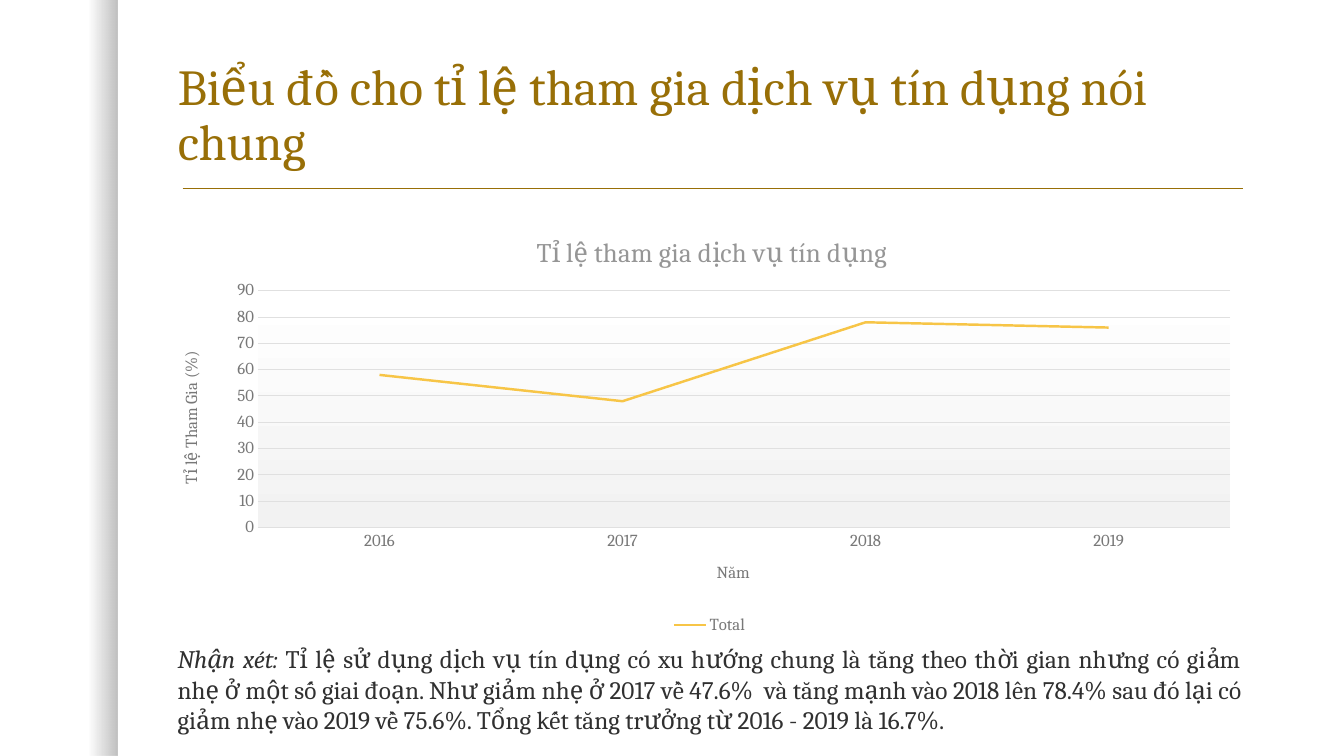
from lxml import etree
from pptx import Presentation
from pptx.chart.data import CategoryChartData
from pptx.dml.color import RGBColor
from pptx.enum.chart import XL_CHART_TYPE as CHART, XL_LEGEND_POSITION as LEGEND, XL_TICK_MARK as TICK
from pptx.enum.shapes import MSO_CONNECTOR as CONN, MSO_SHAPE as SHAPE
from pptx.enum.text import MSO_ANCHOR as ANCHOR, MSO_AUTO_SIZE as AUTO, PP_ALIGN as ALIGN
from pptx.oxml import parse_xml
from pptx.oxml.ns import nsdecls, qn
from pptx.util import Pt

FONT = "Cambria"
GOLD, YELLOW, TEXT, GREY, PALE, RULE = "986F07", "F7C547", "303030", "787878", "969696", "E0E0E0"
LEFT, WIDTH, CHART_HEIGHT = 119.8, 774, 300


def rgb(value):
    return RGBColor.from_string(value)


def style(font, size, color, italic=False):
    font.name = FONT
    font.size = Pt(size)
    font.bold = False
    font.italic = italic
    font.color.rgb = rgb(color)


def gradient(stops, angle):
    gs = "".join(
        f'<a:gs pos="{pos * 1000}"><a:srgbClr val="{color}">'
        f'<a:alpha val="{alpha * 1000}"/></a:srgbClr></a:gs>'
        for pos, color, alpha in stops)
    return (f'<a:gradFill {nsdecls("a")} rotWithShape="1"><a:gsLst>{gs}</a:gsLst>'
            f'<a:lin ang="{angle * 60000}" scaled="0"/></a:gradFill>')


def add_side_shade(slide):
    sp = slide.shapes.add_shape(SHAPE.RECTANGLE, 0, 0, Pt(84), Pt(540))
    sp.shadow.inherit = False
    sp.line.fill.background()
    fill = parse_xml(gradient([(75, "000000", 0), (100, "000000", 25)], 0))
    sp.element.spPr.find(qn("a:prstGeom")).addnext(fill)


def add_rule(slide, x1, x2, y):
    line = slide.shapes.add_connector(CONN.STRAIGHT, Pt(x1), Pt(y), Pt(x2), Pt(y))
    line.line.color.rgb = rgb(GOLD)
    line.line.width = Pt(1)
    etree.SubElement(line.element.spPr, qn("a:effectLst"))


def set_title(slide, text):
    sp = slide.shapes.title
    sp.left, sp.top, sp.width, sp.height = Pt(LEFT), Pt(30), Pt(WIDTH), Pt(96)
    tf = sp.text_frame
    tf.text = text
    tf.auto_size = AUTO.NONE
    tf.vertical_anchor = ANCHOR.BOTTOM
    p = tf.paragraphs[0]
    p.alignment = ALIGN.LEFT
    p.line_spacing = 0.9
    style(p.runs[0].font, 36, GOLD)


def add_comment(slide, label, text):
    sp = slide.shapes.add_textbox(Pt(LEFT), Pt(456.2), Pt(WIDTH), Pt(72.5))
    tf = sp.text_frame
    tf.word_wrap = True
    p = tf.paragraphs[0]
    p.alignment = ALIGN.JUSTIFY
    for part, italic in ((label, True), (text, False)):
        r = p.add_run()
        r.text = part
        style(r.font, 18, TEXT, italic)


def place(element, index, x, y, w=None, h=None):
    for old in element.findall(qn("c:layout")):
        element.remove(old)
    tags = [("xMode", "edge"), ("yMode", "edge"), ("x", x / WIDTH), ("y", y / CHART_HEIGHT)]
    if w:
        tags = [("layoutTarget", "inner")] + tags + [("w", w / WIDTH), ("h", h / CHART_HEIGHT)]
    body = "".join(f'<c:{tag} val="{val}"/>' for tag, val in tags)
    element.insert(index, parse_xml(
        f'<c:layout {nsdecls("c")}><c:manualLayout>{body}</c:manualLayout></c:layout>'))


def set_chart_title(owner, text, size, color, x, y):
    title = owner.chart_title if hasattr(owner, "chart_title") else owner.axis_title
    title.text_frame.text = text
    style(title.text_frame.paragraphs[0].runs[0].font, size, color)
    place(title._element, 1, x, y)


def format_axis(axis, title, x, y):
    axis.major_tick_mark = axis.minor_tick_mark = TICK.NONE
    style(axis.tick_labels.font, 12, GREY)
    set_chart_title(axis, title, 12, GREY, x, y)


def fill_plot(plot_area):
    place(plot_area, 0, 64.5, 51.5, 694.5, 169.2)
    fill = gradient([(0, "FFFFFF", 100), (100, "F2F2F2", 100)], 90)
    plot_area.append(parse_xml(f'<c:spPr {nsdecls("c")}>{fill}</c:spPr>'))


def add_line_chart(slide):
    data = CategoryChartData()
    data.categories = ["2016", "2017", "2018", "2019"]
    data.add_series("Total", [58, 48, 78, 76])
    frame = slide.shapes.add_chart(
        CHART.LINE, Pt(LEFT), Pt(156.2), Pt(WIDTH), Pt(CHART_HEIGHT), data)
    chart = frame.chart
    style(chart.font, 10, TEXT)
    set_chart_title(chart, "Tỉ lệ tham gia dịch vụ tín dụng", 19.2, PALE, 260, 8)

    years, rates = chart.category_axis, chart.value_axis
    format_axis(years, "Năm", 390, 243)
    years.format.line.color.rgb = rgb(RULE)
    years.format.line.width = Pt(0.75)
    format_axis(rates, "Tỉ lệ Tham Gia (%)", 7, 92.5)
    rates.format.line.fill.background()
    rates.minimum_scale, rates.maximum_scale, rates.major_unit = 0, 90, 10
    rates.major_gridlines.format.line.color.rgb = rgb(RULE)
    rates.major_gridlines.format.line.width = Pt(0.75)

    chart.has_legend = True
    chart.legend.position = LEGEND.BOTTOM
    chart.legend.include_in_layout = False
    style(chart.legend.font, 12, GREY)

    plot = chart.plots[0]
    plot.vary_by_categories = False
    series = plot.series[0]
    series.smooth = False
    series.format.line.color.rgb = rgb(YELLOW)
    series.format.line.width = Pt(1.75)
    fill_plot(chart._chartSpace.chart.plotArea)


def main():
    prs = Presentation()
    prs.slide_width, prs.slide_height = Pt(960), Pt(540)
    s = prs.slides.add_slide(prs.slide_layouts[5])
    add_side_shade(s)
    add_rule(s, 130.5, 888, 134.5)
    set_title(s, "Biểu đồ cho tỉ lệ tham gia dịch vụ tín dụng nói chung")
    add_line_chart(s)
    add_comment(
        s, "Nhận xét: ",
        "Tỉ lệ sử dụng dịch vụ tín dụng có xu hướng chung là tăng theo thời gian "
        "nhưng có giảm nhẹ ở một số giai đoạn. Như giảm nhẹ ở 2017 về 47.6%  và tăng "
        "mạnh vào 2018 lên 78.4% sau đó lại có giảm nhẹ vào 2019 về 75.6%. "
        "Tổng kết tăng trưởng từ 2016 - 2019 là 16.7%.")
    prs.save("out.pptx")


if __name__ == "__main__":
    main()
